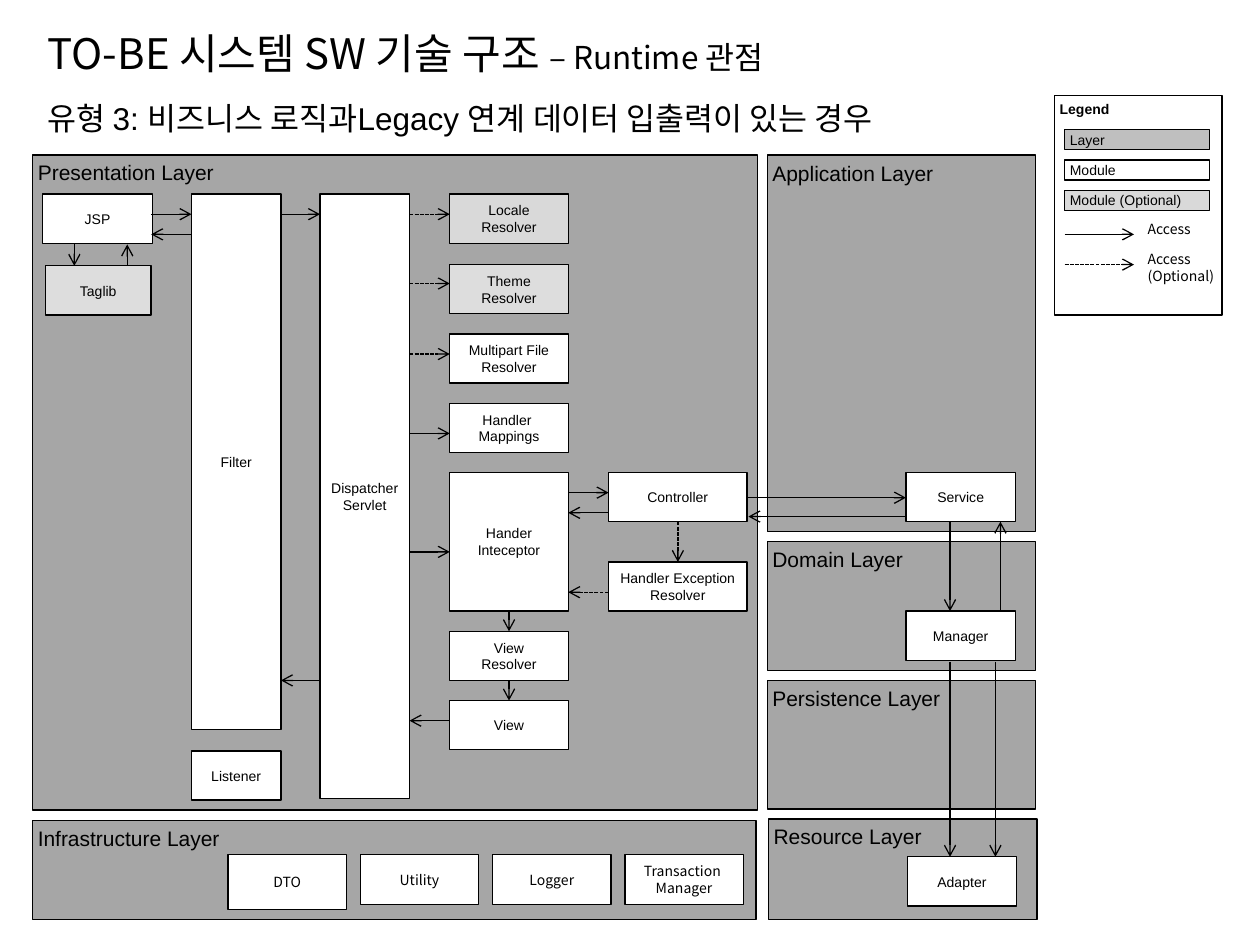
"""Build the runtime view of the layered software architecture."""
from lxml import etree
from pptx import Presentation
from pptx.dml.color import RGBColor
from pptx.enum.dml import MSO_LINE
from pptx.enum.shapes import MSO_CONNECTOR, MSO_SHAPE
from pptx.enum.text import MSO_ANCHOR, PP_ALIGN
from pptx.oxml.ns import qn
from pptx.util import Inches, Pt

RECT = MSO_SHAPE.RECTANGLE
LINE = MSO_CONNECTOR.STRAIGHT
DASH = MSO_LINE.SQUARE_DOT
TOP, MIDDLE = MSO_ANCHOR.TOP, MSO_ANCHOR.MIDDLE
LEFT, CENTER = PP_ALIGN.LEFT, PP_ALIGN.CENTER
BLACK = RGBColor(0, 0, 0)
WHITE = RGBColor(255, 255, 255)
GRAY = RGBColor(0xA6, 0xA6, 0xA6)
SILVER = RGBColor(0xBF, 0xBF, 0xBF)
LIGHT = RGBColor(0xD9, 0xD9, 0xD9)
PALE = RGBColor(0xDD, 0xDD, 0xDD)
ARIAL, NOTO = "Arial", "Noto Sans CJK KR"
STROKE = Pt(0.74)

deck = Presentation()
deck.slide_width, deck.slide_height = Inches(10), Inches(7.5)
slide = deck.slides.add_slide(deck.slide_layouts[6])
shapes = slide.shapes


def write(shape, text, size=8, face=ARIAL, align=LEFT, anchor=TOP,
          pad=(0.1, 0.05, 0.1, 0.05), wrap=False, bold=False):
    frame = shape.text_frame
    frame.text = text
    frame.word_wrap = wrap
    frame.vertical_anchor = anchor
    (frame.margin_left, frame.margin_top,
     frame.margin_right, frame.margin_bottom) = map(Inches, pad)
    for line in frame.paragraphs:
        line.alignment = align
        font = line.font
        font.size, font.name, font.bold = Pt(size), face, bold
        font.color.rgb = BLACK
        etree.SubElement(font._element, qn("a:ea"), typeface=NOTO)


def box(x, y, w, h, fill, text, **style):
    shape = shapes.add_shape(RECT, *map(Inches, (x, y, w, h)))
    shape.shadow.inherit = False
    if fill is None:
        shape.fill.background()
    else:
        shape.fill.solid()
        shape.fill.fore_color.rgb = fill
    shape.line.color.rgb = BLACK
    shape.line.width = STROKE
    write(shape, text, **style)


layers = [
    (0.26, 1.23, 5.75, 5.2, "Presentation"),
    (6.09, 1.23, 2.13, 2.99, "Application"),
    (6.09, 4.3, 2.13, 1.02, "Domain"),
    (6.09, 5.4, 2.13, 1.02, "Persistence"),
    (0.26, 6.51, 5.74, 0.79, "Infrastructure"),
    (6.1, 6.5, 2.13, 0.8, "Resource"),
]
for x, y, w, h, name in layers:
    box(x, y, w, h, GRAY, name + " Layer", size=12, pad=(0.04, 0.04, 0, 0))

box(8.37, 0.76, 1.33, 1.74, None, "Legend", bold=True, pad=(0.04, 0.04, 0, 0))
keys = [(SILVER, "Layer"), (WHITE, "Module"), (LIGHT, "Module (Optional)")]
for row, (fill, name) in enumerate(keys):
    box(8.45, 1.03 + 0.24 * row, 1.15, 0.16, fill, name,
        anchor=MIDDLE, pad=(0.04, 0, 0, 0))

modules = [
    (0.34, 1.54, 0.87, 0.39, WHITE, "JSP"),
    (0.36, 2.11, 0.84, 0.39, PALE, "Taglib"),
    (1.52, 1.54, 0.71, 4.25, WHITE, "Filter"),
    (1.52, 5.96, 0.71, 0.39, WHITE, "Listener"),
    (2.54, 1.54, 0.71, 4.8, WHITE, "Dispatcher\nServlet"),
    (3.57, 1.54, 0.94, 0.39, LIGHT, "Locale\nResolver"),
    (3.57, 2.1, 0.94, 0.39, PALE, "Theme\nResolver"),
    (3.57, 2.65, 0.94, 0.39, WHITE, "Multipart File\nResolver"),
    (3.57, 3.2, 0.94, 0.39, WHITE, "Handler \nMappings"),
    (3.57, 3.75, 0.94, 1.1, WHITE, "Hander\nInteceptor"),
    (3.57, 5.01, 0.94, 0.39, WHITE, "View\nResolver"),
    (3.57, 5.56, 0.94, 0.39, WHITE, "View"),
    (4.83, 3.75, 1.1, 0.39, WHITE, "Controller"),
    (4.83, 4.46, 1.1, 0.39, WHITE, "Handler Exception\nResolver"),
    (7.19, 3.75, 0.87, 0.39, WHITE, "Service"),
    (7.19, 4.85, 0.87, 0.39, WHITE, "Manager"),
    (7.2, 6.8, 0.87, 0.39, WHITE, "Adapter"),
]
for x, y, w, h, fill, name in modules:
    box(x, y, w, h, fill, name, align=CENTER, anchor=MIDDLE, pad=(0, 0, 0, 0))

tools = [("DTO", 0.44), ("Utility", 0.4), ("Logger", 0.4),
         ("Transaction \nManager", 0.4)]
for col, (name, h) in enumerate(tools):
    box(1.81 + 1.05 * col, 6.78, 0.94, h, WHITE, name,
        face=NOTO, align=CENTER, anchor=MIDDLE)

solid = [
    (1.2, 1.7, 1.52, 1.7), (1.52, 1.86, 1.2, 1.86),
    (0.59, 1.94, 0.59, 2.11), (1.01, 2.11, 1.01, 1.94),
    (2.23, 1.7, 2.54, 1.7), (2.54, 5.4, 2.23, 5.4),
    (3.25, 3.44, 3.57, 3.44), (3.25, 4.38, 3.57, 4.38),
    (3.57, 5.72, 3.25, 5.72), (4.04, 4.85, 4.04, 5.01),
    (4.04, 5.4, 4.04, 5.56), (4.51, 3.91, 4.83, 3.91),
    (4.83, 4.07, 4.51, 4.07), (5.93, 3.95, 7.19, 3.95),
    (7.19, 4.1, 5.94, 4.1), (7.54, 4.14, 7.54, 4.85),
    (7.94, 4.85, 7.94, 4.14), (7.54, 5.25, 7.54, 6.8),
    (7.9, 5.25, 7.9, 6.8), (8.45, 1.86, 9, 1.86),
]
dashed = [
    (3.25, 1.7, 3.57, 1.7), (3.25, 2.25, 3.57, 2.25),
    (3.25, 2.81, 3.57, 2.81), (5.38, 4.14, 5.38, 4.46),
    (4.83, 4.7, 4.51, 4.7), (8.45, 2.1, 9, 2.1),
]
for ends in solid + dashed:
    arrow = shapes.add_connector(LINE, *map(Inches, ends))
    arrow.line.color.rgb = BLACK
    arrow.line.width = STROKE
    if ends in dashed:
        arrow.line.dash_style = DASH
    etree.SubElement(arrow.line._get_or_add_ln(), qn("a:tailEnd"), type="arrow")
    etree.SubElement(arrow._element.spPr, qn("a:effectLst"))

notes = [(1.7, 0.54, 0.23, "Access"), (1.94, 0.67, 0.36, "Access\n(Optional)")]
for y, w, h, text in notes:
    label = shapes.add_textbox(*map(Inches, (9.01, y, w, h)))
    write(label, text, face=NOTO, pad=(0.1, 0.05, 0, 0.05))

title = shapes.add_textbox(*map(Inches, (0.28, 0.17, 9.52, 0.5)))
write(title, "TO-BE 시스템 SW 기술 구조 ", size=24, face=NOTO,
      anchor=MIDDLE, wrap=True)
view = title.text_frame.paragraphs[0].add_run()
view.text = "– Runtime 관점"
view.font.size = Pt(18)

case = shapes.add_textbox(*map(Inches, (0.28, 0.74, 7.48, 0.43)))
write(case, "유형 3: 비즈니스 로직과Legacy 연계 데이터 입출력이 있는 경우",
      size=18, wrap=True)

deck.save("out.pptx")
